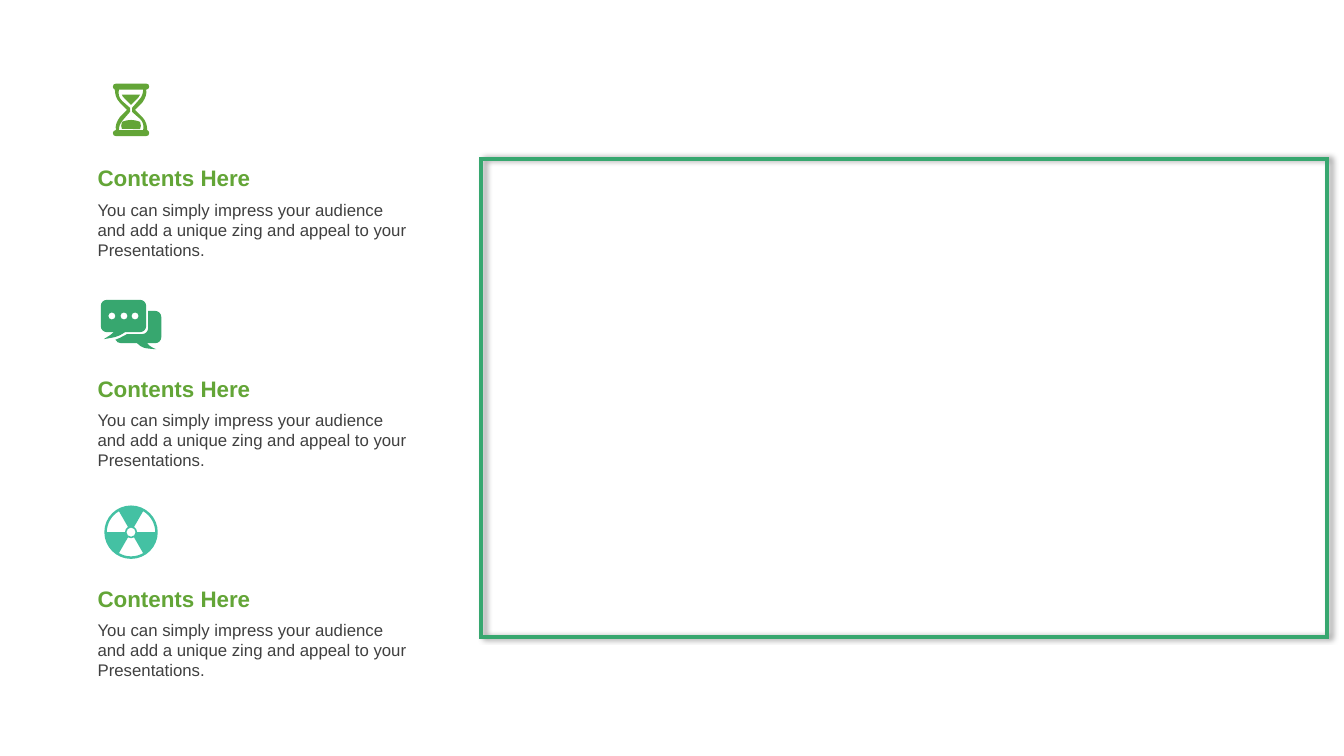
from itertools import chain
from math import cos, radians, sin, tan

from pptx import Presentation
from pptx.dml.color import RGBColor
from pptx.enum.shapes import MSO_SHAPE
from pptx.enum.text import MSO_ANCHOR, MSO_AUTO_SIZE
from pptx.oxml import parse_xml
from pptx.oxml.ns import nsdecls, qn
from pptx.util import Inches, Pt

GREEN = RGBColor(0x63, 0xA5, 0x37)
EMERALD = RGBColor(0x37, 0xA7, 0x6F)
TEAL = RGBColor(0x44, 0xC1, 0xA3)
DARK_GRAY = RGBColor(0x40, 0x40, 0x40)

FONT = "Arial"
HEADING = "Contents Here"
BODY = ("You can simply impress your audience and add a unique zing "
        "and appeal to your Presentations.")

# Grid of the left column, in inches
TEXT_LEFT, TEXT_WIDTH = 0.87, 3.34
ICON_CENTER = 1.3
FIRST_ROW, ROW_PITCH = 1.58, 4.17 / 2


# Outlines, in inches around the centre of an icon: lists of segments,
# each one point for a line or three points for a Bézier curve
def lines(*points):
    return [(point,) for point in points]


def arc(x, y, radius, start, sweep, pieces=1):
    """Line to the start of an arc, then one curve for each piece."""
    step = radians(sweep) / pieces
    pull = 4 / 3 * tan(step / 4)

    def on_arc(angle, offset=0):
        return (x + radius * (cos(angle) - offset * sin(angle)),
                y + radius * (sin(angle) + offset * cos(angle)))

    segments = [(on_arc(radians(start)),)]
    for piece in range(pieces):
        begin = radians(start) + piece * step
        end = begin + step
        segments.append((on_arc(begin, pull), on_arc(end, -pull), on_arc(end)))
    return segments


def circle(x, y, radius):
    return arc(x, y, radius, 0, 360, 4)


def with_half_turn(half):
    return half + [tuple((-x, -y) for x, y in segment) for segment in half]


def hourglass():
    frame = lines((-0.15, -0.26), (0.15, -0.26)) + [
        ((0.17, -0.26), (0.18, -0.25), (0.18, -0.23)),
        ((0.18, -0.22), (0.17, -0.2), (0.15, -0.2)),
        ((0.16, -0.16), (0.14, -0.11), (0.11, -0.07))] + lines(
        (0.04, 0), (0.11, 0.07)) + [
        ((0.15, 0.11), (0.16, 0.16), (0.16, 0.2)),
        ((0.17, 0.2), (0.18, 0.22), (0.18, 0.23)),
        ((0.18, 0.25), (0.17, 0.26), (0.15, 0.26))]
    glass = lines((-0.12, -0.2)) + [
        ((-0.13, -0.16), (-0.12, -0.12), (-0.09, -0.09))] + lines(
        (-0.01, -0.02), (-0.01, 0.02), (-0.08, 0.1)) + [
        ((-0.11, 0.13), (-0.12, 0.17), (-0.12, 0.2))]
    upper_sand = lines((-0.09, -0.15), (0.09, -0.15)) + [
        ((0.08, -0.14), (0.08, -0.13), (0.07, -0.12))] + lines(
        (0, -0.05), (-0.07, -0.12)) + [
        ((-0.08, -0.13), (-0.09, -0.14), (-0.09, -0.15))]
    lower_sand = lines((0, 0.1)) + [
        ((0.03, 0.1), (0.07, 0.11), (0.09, 0.12)),
        ((0.1, 0.15), (0.1, 0.17), (0.09, 0.19))] + lines((-0.09, 0.19)) + [
        ((-0.1, 0.17), (-0.1, 0.15), (-0.09, 0.12)),
        ((-0.07, 0.11), (-0.03, 0.1), (0, 0.1))]
    return [with_half_turn(frame), with_half_turn(glass),
            upper_sand, lower_sand]


def chat_bubbles():
    radius = 0.06
    front = (arc(-0.24, -0.18, radius, 180, 90)
             + arc(0.09, -0.18, radius, 270, 90)
             + arc(0.09, 0.02, radius, 0, 90)
             + lines((-0.06, 0.08))
             + [((-0.13, 0.13), (-0.16, 0.13), (-0.27, 0.15)),
                ((-0.21, 0.11), (-0.2, 0.11), (-0.17, 0.08))]
             + arc(-0.24, 0.02, radius, 90, 90))
    back = (lines((0.17, -0.13))
            + arc(0.24, -0.07, radius, 270, 90)
            + arc(0.24, 0.13, radius, 0, 90)
            + lines((0.16, 0.19))
            + [((0.18, 0.21), (0.18, 0.22), (0.25, 0.25)),
               ((0.13, 0.24), (0.11, 0.24), (0.06, 0.19))]
            + arc(-0.1, 0.13, radius, 90, 65)
            + [((-0.11, 0.14), (-0.08, 0.12), (-0.04, 0.1))]
            + arc(0.11, 0.04, radius, 90, -90))
    dots = [circle(x, -0.08, 0.035) for x in (-0.19, -0.07, 0.04)]
    return [front, back, *dots]


def trefoil():
    blades = [arc(0, 0, 0.24, start, 60) + arc(0, 0, 0.06, start + 60, -60)
              for start in (60, 180, 300)]
    return [circle(0, 0, 0.265), circle(0, 0, 0.045), *blades]


# Elements
def add_icon(slide, outlines, center_y, color, rotation):
    turn = radians(-rotation)

    def place(point):
        x, y = point
        return (Inches(ICON_CENTER + x * cos(turn) - y * sin(turn)),
                Inches(center_y + x * sin(turn) + y * cos(turn)))

    builder = None
    for outline in outlines:
        first, *others = [place(point) for point in chain(*outline)]
        if builder is None:
            builder = slide.shapes.build_freeform(*first, scale=1.0)
        else:
            builder.move_to(*first)
        builder.add_line_segments(others, close=True)
    shape = builder.convert_to_shape()

    # Join the three points of each curve
    steps = iter(list(shape.element.iter(qn("a:lnTo"))))
    for segment in chain(*(outline[1:] for outline in outlines)):
        step = next(steps)
        if len(segment) == 3:
            curve = parse_xml(f'<a:cubicBezTo {nsdecls("a")}/>')
            step.addprevious(curve)
            for line in (step, next(steps), next(steps)):
                curve.append(line[0])
                line.getparent().remove(line)

    shape.rotation = rotation
    shape.shadow.inherit = False
    shape.fill.solid()
    shape.fill.fore_color.rgb = color
    shape.line.fill.background()


def add_text(group, text, top, height, size, color, bold, anchor):
    box = group.shapes.add_textbox(Inches(TEXT_LEFT), Inches(top),
                                   Inches(TEXT_WIDTH), Inches(height))
    frame = box.text_frame
    frame.word_wrap = True
    frame.auto_size = MSO_AUTO_SIZE.SHAPE_TO_FIT_TEXT
    frame.vertical_anchor = anchor
    paragraph = frame.paragraphs[0]
    paragraph.text = text
    font = paragraph.font
    font.name, font.size, font.bold = FONT, Pt(size), bold
    font.color.rgb = color


def add_content(slide, top):
    group = slide.shapes.add_group_shape()
    add_text(group, BODY, top + 0.35, 0.71, 12, DARK_GRAY, False, MSO_ANCHOR.TOP)
    add_text(group, HEADING, top, 0.37, 16, GREEN, True, MSO_ANCHOR.MIDDLE)


def add_frame(slide):
    shape = slide.shapes.add_shape(MSO_SHAPE.RECTANGLE, Inches(4.77),
                                   Inches(1.58), Inches(8.39), Inches(4.74))
    shape.fill.background()
    shape.line.color.rgb = EMERALD
    shape.line.width = Pt(3)
    # Square corners and a soft shadow to the right
    shape.shadow.inherit = False
    properties = shape.element.spPr
    properties.find(qn("a:ln")).append(
        parse_xml(f'<a:miter {nsdecls("a")} lim="800000"/>'))
    properties.find(qn("a:effectLst")).append(parse_xml(
        f'<a:outerShdw {nsdecls("a")} blurRad="{Pt(4)}" dist="{Pt(3)}" dir="0" '
        'algn="l" rotWithShape="0"><a:srgbClr val="000000">'
        '<a:alpha val="40000"/></a:srgbClr></a:outerShdw>'))


def main():
    presentation = Presentation()
    presentation.slide_width = Inches(13.33)
    presentation.slide_height = Inches(7.5)
    slide = presentation.slides.add_slide(presentation.slide_layouts[6])

    add_frame(slide)

    # Outlines, rise above the heading, colour and rotation of the icons
    icons = [(hourglass(), 0.49, GREEN, 313.4),
             (chat_bubbles(), 0.45, EMERALD, 0),
             (trefoil(), 0.47, TEAL, 0)]
    for row, (outlines, rise, color, rotation) in enumerate(icons):
        top = FIRST_ROW + row * ROW_PITCH
        add_icon(slide, outlines, top - rise, color, rotation)
        add_content(slide, top)

    presentation.save("out.pptx")


if __name__ == "__main__":
    main()
